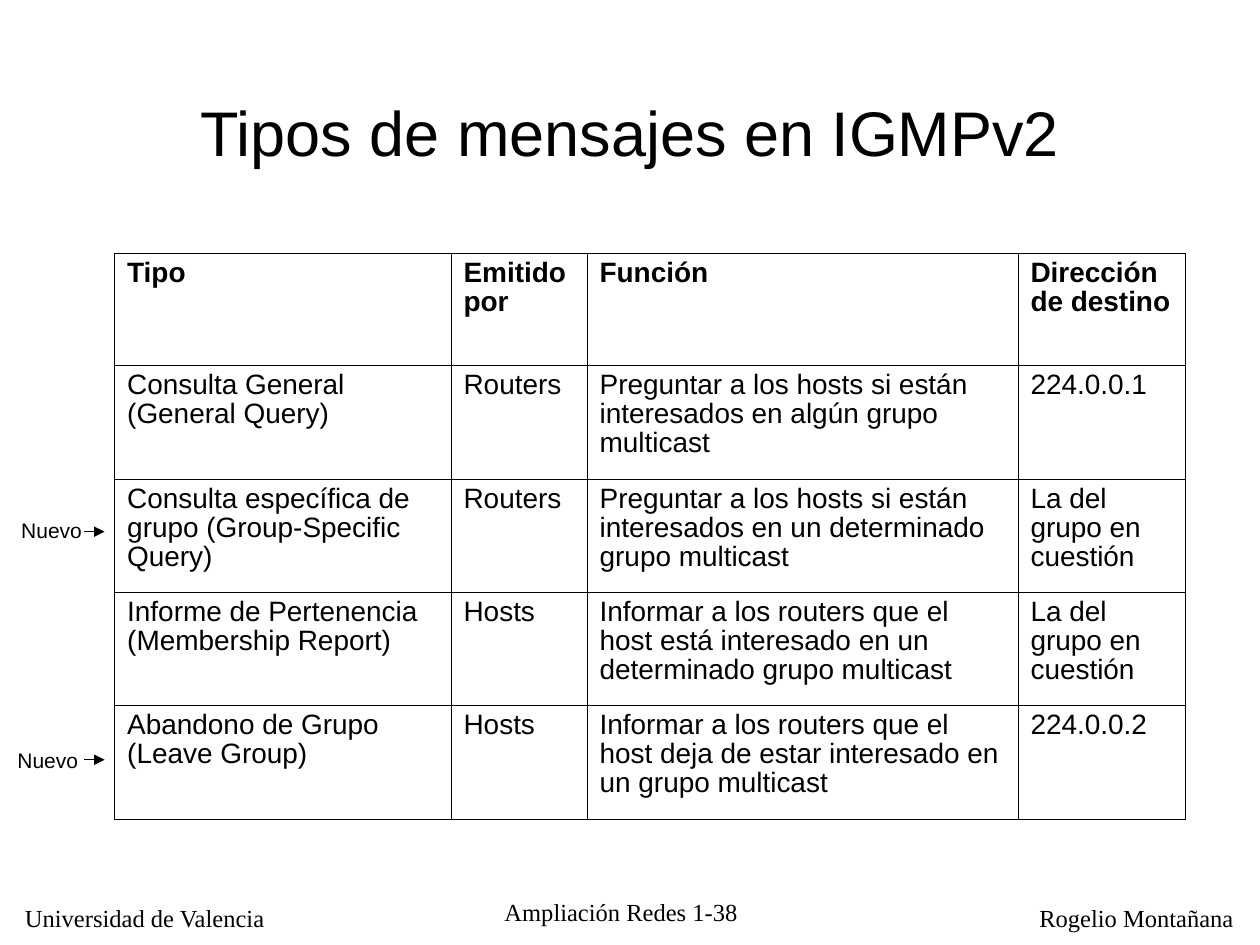
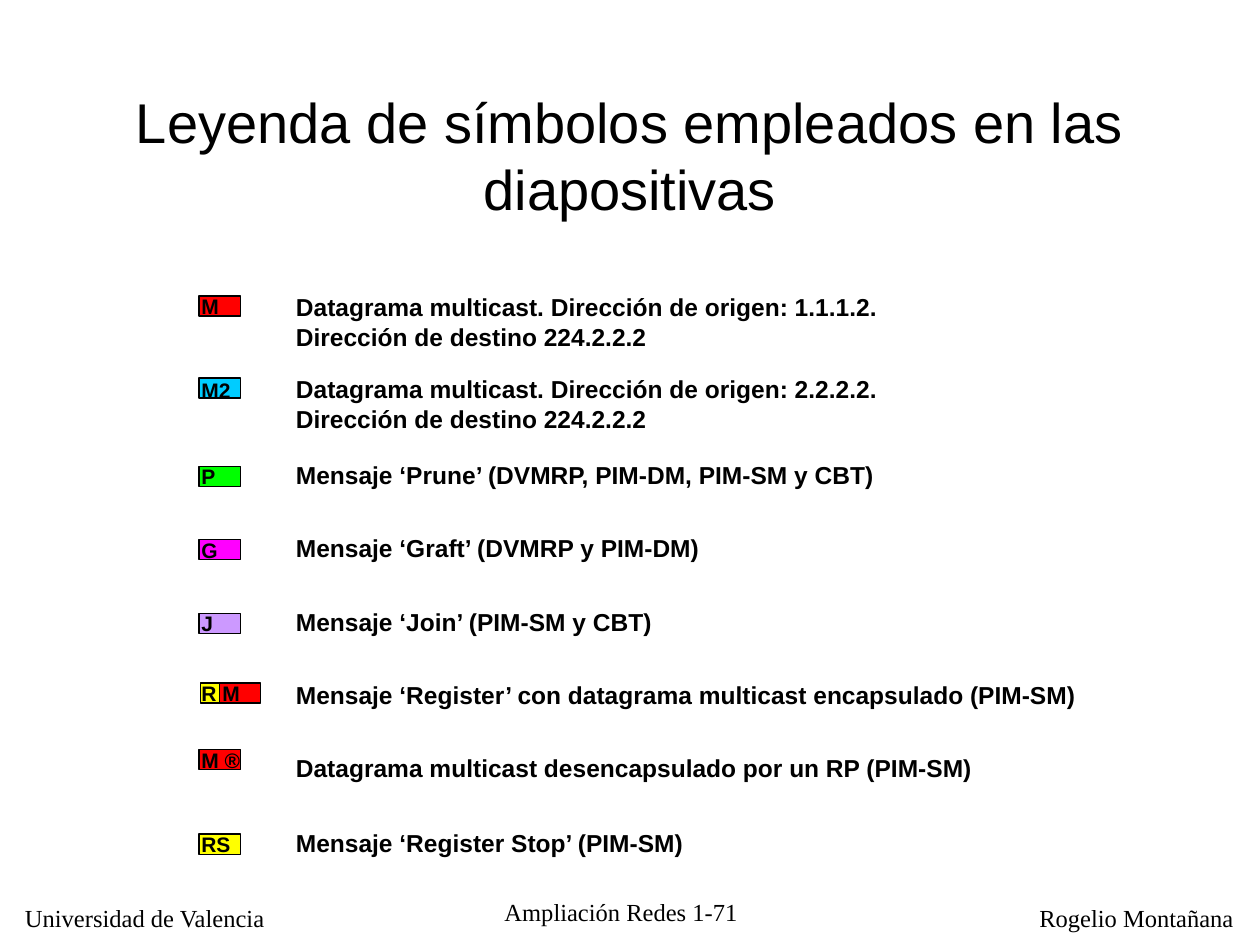
from lxml import etree
from pptx import Presentation
from pptx.dml.color import RGBColor
from pptx.enum.shapes import MSO_CONNECTOR, MSO_SHAPE
from pptx.enum.text import MSO_ANCHOR, MSO_AUTO_SIZE, PP_ALIGN
from pptx.oxml.ns import qn
from pptx.util import Inches, Pt

RECT = MSO_SHAPE.RECTANGLE
STRAIGHT = MSO_CONNECTOR.STRAIGHT
LEFT, CENTER = PP_ALIGN.LEFT, PP_ALIGN.CENTER
TOP, MIDDLE = MSO_ANCHOR.TOP, MSO_ANCHOR.MIDDLE
GROW, FIXED = MSO_AUTO_SIZE.SHAPE_TO_FIT_TEXT, MSO_AUTO_SIZE.NONE
BLACK, RED, YELLOW = "000000", "FF0000", "FFFF00"
SANS, SERIF = "Arial", "Times New Roman"


def color(value):
    return RGBColor.from_string(value)


def add_text(shapes, text, x, y, w, h, size, font=SANS, bold=False,
             align=LEFT, anchor=TOP, wrap=True):
    tb = shapes.add_textbox(Inches(x), Inches(y), Inches(w), Inches(h))
    tf = tb.text_frame
    tf.word_wrap = wrap
    tf.auto_size = FIXED if wrap else GROW
    tf.vertical_anchor = anchor
    p = tf.paragraphs[0]
    p.text = text
    p.alignment = align
    p.font.size = Pt(size)
    p.font.name = font
    p.font.bold = bold
    p.font.color.rgb = color(BLACK)


prs = Presentation()
prs.slide_width = Inches(10)
prs.slide_height = Inches(7.5)

slides = []
for title, title_y, title_size, number in [
    ("Tipos de mensajes en IGMPv2", 0.42, 36, 38),
    ("Leyenda de símbolos empleados en las diapositivas", 0.6, 32, 71),
]:
    s = prs.slides.add_slide(prs.slide_layouts[6])
    add_text(s.shapes, "Universidad de Valencia", 0.1, 7.12, 2.13, 0.34, 14, SERIF, wrap=False)
    add_text(s.shapes, "Rogelio Montañana", 8.15, 7.12, 1.74, 0.34, 14, SERIF, wrap=False)
    add_text(s.shapes, f"Ampliación Redes 1-{number}", 3.76, 7.07, 2.34, 0.3, 14, SERIF, align=CENTER)
    add_text(s.shapes, title, 0.75, title_y, 8.5, 1.25, title_size, align=CENTER, anchor=MIDDLE)
    slides.append(s)

messages_slide, legend_slide = slides

messages = [
    ("Tipo", "Emitido por", "Función", "Dirección de destino"),
    ("Consulta General (General Query)", "Routers",
     "Preguntar a los hosts si están interesados en algún grupo multicast", "224.0.0.1"),
    ("Consulta específica de grupo (Group-Specific Query)", "Routers",
     "Preguntar a los hosts si están interesados en un determinado grupo multicast",
     "La del grupo en cuestión"),
    ("Informe de Pertenencia (Membership Report)", "Hosts",
     "Informar a los routers que el host está interesado en un determinado grupo multicast",
     "La del grupo en cuestión"),
    ("Abandono de Grupo (Leave Group)", "Hosts",
     "Informar a los routers que el host deja de estar interesado en un grupo multicast",
     "224.0.0.2"),
]
col_widths = [2.67, 1.08, 3.42, 1.33]
last_row, last_col = len(messages) - 1, len(col_widths) - 1

table = messages_slide.shapes.add_table(
    len(messages), len(col_widths), Inches(0.91), Inches(2.01), Inches(8.5), Inches(4.49)).table
table.first_row = False
table.horz_banding = False
for col, width in zip(table.columns, col_widths):
    col.width = Inches(width)
for i, row in enumerate(messages):
    table.rows[i].height = Inches(0.89 if i == 0 else 0.9)
    for j, text in enumerate(row):
        cell = table.cell(i, j)
        cell.fill.background()
        p = cell.text_frame.paragraphs[0]
        p.text = text
        p.line_spacing = 0.93
        p.space_before = Pt(4)
        p.font.size = Pt(16)
        p.font.name = SANS
        p.font.bold = i == 0
        p.font.color.rgb = color(BLACK)
        tcPr = cell._tc.get_or_add_tcPr()
        edges = [("L", j == 0), ("R", j == last_col), ("T", i == 0), ("B", i == last_row)]
        for k, (side, outer) in enumerate(edges):
            ln = etree.Element(qn(f"a:ln{side}"), w=str(Pt(0.5 if outer else 0.23)))
            fill = etree.SubElement(ln, qn("a:solidFill"))
            etree.SubElement(fill, qn("a:srgbClr"), val=BLACK)
            tcPr.insert(k, ln)

for label_x, label_y, arrow_y in [(0.07, 4.06, 4.22), (0.04, 5.88, 6.03)]:
    add_text(messages_slide.shapes, "Nuevo", label_x, label_y, 0.68, 0.3, 12, wrap=False)
    arrow = messages_slide.shapes.add_connector(
        STRAIGHT, Inches(0.67), Inches(arrow_y), Inches(0.83), Inches(arrow_y))
    arrow.line.color.rgb = color(BLACK)
    arrow.line.width = Pt(0.75)
    etree.SubElement(arrow.line._get_or_add_ln(), qn("a:tailEnd"), type="triangle")
    etree.SubElement(arrow._element.spPr, qn("a:effectLst"))

legend = [
    ("M", 2.28, 0.34, [(1.58, RED)], 2.35, 2.27, 5.18, 0.57,
     "Datagrama multicast. Dirección de origen: 1.1.1.2. Dirección de destino 224.2.2.2"),
    ("M2", 2.95, 0.43, [(1.58, "00CCFF")], 3, 2.92, 5.18, 0.57,
     "Datagrama multicast. Dirección de origen: 2.2.2.2. Dirección de destino 224.2.2.2"),
    ("P", 3.63, 0.31, [(1.58, "00FF00")], 3.7, 3.6, 6.33, 0.34,
     "Mensaje ‘Prune’ (DVMRP, PIM-DM, PIM-SM y CBT)"),
    ("G", 4.22, 0.33, [(1.58, "FF00FF")], 4.28, 4.18, 6.33, 0.34,
     "Mensaje ‘Graft’ (DVMRP y PIM-DM)"),
    ("J", 4.8, 0.29, [(1.58, "CC99FF")], 4.87, 4.77, 6.33, 0.34,
     "Mensaje ‘Join’ (PIM-SM y CBT)"),
    ("R M", 5.35, 0.52, [(1.59, YELLOW), (1.74, RED)], 5.42, 5.35, 6.5, 0.34,
     "Mensaje ‘Register’ con datagrama multicast encapsulado (PIM-SM)"),
    ("M ®", 5.88, 0.52, [(1.58, RED)], 5.95, 5.93, 7, 0.34,
     "Datagrama multicast desencapsulado por un RP (PIM-SM)"),
    ("RS", 6.55, 0.43, [(1.58, YELLOW)], 6.62, 6.52, 6.33, 0.34,
     "Mensaje ‘Register Stop’ (PIM-SM)"),
]
for symbol, symbol_y, symbol_w, boxes, box_y, text_y, text_w, text_h, meaning in legend:
    group = legend_slide.shapes.add_group_shape()
    for box_x, fill in boxes:
        sp = group.shapes.add_shape(RECT, Inches(box_x), Inches(box_y), Inches(0.33), Inches(0.16))
        sp.shadow.inherit = False
        sp.fill.solid()
        sp.fill.fore_color.rgb = color(fill)
        sp.line.color.rgb = color(BLACK)
        sp.line.width = Pt(0.75)
    add_text(group.shapes, symbol, 1.5, symbol_y, symbol_w, 0.3, 12, bold=True, wrap=False)
    add_text(legend_slide.shapes, meaning, 2.25, text_y, text_w, text_h, 14, bold=True)

prs.save("out.pptx")
